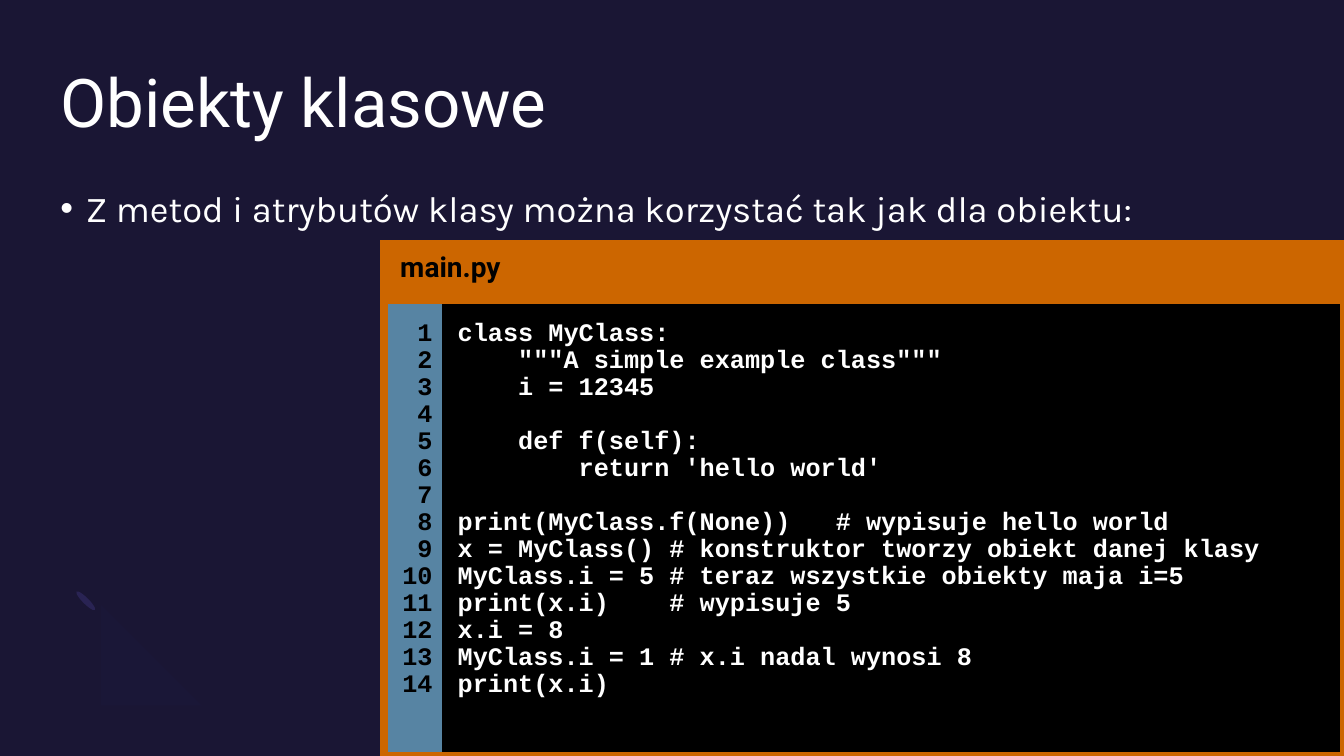
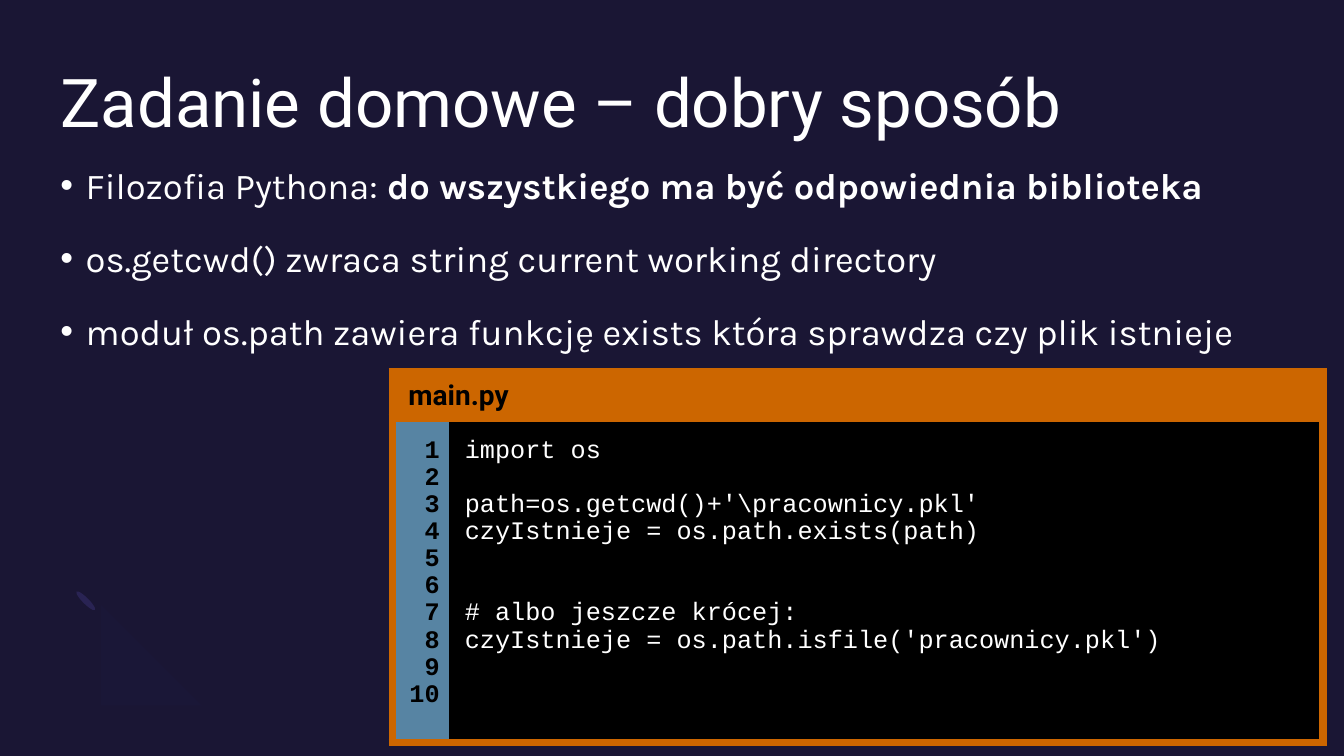
from lxml import etree
from pptx import Presentation
from pptx import util as u
from pptx.dml.color import RGBColor
from pptx.enum import shapes, text
from pptx.oxml import ns

COLOURS = {
    "background": "1A1634",
    "petal": "292353",
    "arc": "1A1737",
    "white": "FFFFFF",
    "black": "000000",
    "frame": "CC6600",
    "gutter": "5784A3",
}

STYLES = {
    "title": {"name": "Roboto", "size": u.Pt(48), "bold": False},
    "body": {"name": "Karla", "size": u.Pt(26), "bold": False},
    "strong": {"name": "Karla", "size": u.Pt(26), "bold": True},
    "file": {"name": "Roboto", "size": u.Pt(20), "bold": True},
    "code": {"name": "Courier New", "size": u.Pt(18), "bold": False},
    "bold code": {"name": "Courier New", "size": u.Pt(18), "bold": True},
}

BULLET_FORMAT = {
    "line_spacing": 1.1,
    "space_before": u.Pt(10),
    "space_after": u.Pt(8),
}
FILE_FORMAT = {"line_spacing": 1.07, "space_before": u.Pt(3.6)}
CODE_FORMAT = {"line_spacing": 0.77, "space_before": u.Pt(3.6)}
NUMBER_FORMAT = {**CODE_FORMAT, "alignment": text.PP_ALIGN.RIGHT}

PETAL_SIZE = (0.06, 0.26)
PETAL_CENTRES = [(1.38, 6.5), (0.85, 5.96)]

# Bézier curves of four points; straight edges join one to the next
ARC_CURVES = [
    [(0.76, 6.59), (0.56, 6.39), (0.58, 6.05), (0.81, 5.82)],
    [(0.99, 6), (0.87, 6.11), (0.86, 6.29), (0.96, 6.38)],
    [(0.96, 6.38), (1.06, 6.48), (1.23, 6.47), (1.35, 6.36)],
    [(1.52, 6.54), (1.3, 6.76), (0.95, 6.79), (0.76, 6.59)],
]

CLASS_CODE = '''class MyClass:
    """A simple example class"""
    i = 12345

    def f(self):
        return 'hello world'

print(MyClass.f(None))   # wypisuje hello world
x = MyClass() # konstruktor tworzy obiekt danej klasy
MyClass.i = 5 # teraz wszystkie obiekty maja i=5
print(x.i)    # wypisuje 5
x.i = 8
MyClass.i = 1 # x.i nadal wynosi 8
print(x.i)'''

FILE_CODE = r"""import os

path=os.getcwd()+'\pracownicy.pkl'
czyIstnieje = os.path.exists(path)


# albo jeszcze krócej:
czyIstnieje = os.path.isfile('pracownicy.pkl')"""


def colour(name):
    return RGBColor.from_string(COLOURS[name])


def apply(target, values):
    for name, value in values.items():
        setattr(target, name, value)


def add_span(para, words, style, ink="white"):
    span = para.add_run()
    span.text = words
    apply(span.font, STYLES[style])
    span.font.color.rgb = colour(ink)


def set_indent(para, left, first=0):
    properties = para._p.get_or_add_pPr()
    properties.set("marL", str(u.Inches(left)))
    properties.set("indent", str(u.Inches(first)))
    return properties


def size_empty_line(para, style):
    """Give a line without text the height of its neighbours."""
    values = STYLES[style]
    end = etree.SubElement(para._p, ns.qn("a:endParaRPr"),
                           sz=str(int(values["size"].pt * 100)))
    etree.SubElement(end, ns.qn("a:latin"), typeface=values["name"])


def nth_paragraph(frame, index):
    return frame.paragraphs[0] if index == 0 else frame.add_paragraph()


def add_text_box(page, left, top, width, height):
    box = page.shapes.add_textbox(*map(u.Inches, (left, top, width, height)))
    frame = box.text_frame
    apply(frame, {
        "word_wrap": True,
        "vertical_anchor": text.MSO_ANCHOR.TOP,
        "margin_left": 0, "margin_right": 0,
        "margin_top": 0, "margin_bottom": 0,
    })
    return frame


def paint(shape, fill):
    shape.shadow.inherit = False
    shape.fill.solid()
    shape.fill.fore_color.rgb = colour(fill)
    shape.line.fill.background()


def add_petal(page, x, y):
    width, height = PETAL_SIZE
    petal = page.shapes.add_shape(
        shapes.MSO_SHAPE.OVAL,
        *map(u.Inches, (x - width / 2, y - height / 2, width, height)))
    petal.rotation = 135
    paint(petal, "petal")


def curve_points(curve, steps=12):
    for step in range(steps + 1):
        t = step / steps
        weights = ((1 - t) ** 3, 3 * t * (1 - t) ** 2,
                   3 * t ** 2 * (1 - t), t ** 3)
        yield tuple(sum(weight * point[axis]
                        for weight, point in zip(weights, curve))
                    for axis in (0, 1))


def add_arc(page):
    points = [point for curve in ARC_CURVES for point in curve_points(curve)]
    builder = page.shapes.build_freeform(*points[0], scale=u.Inches(1))
    builder.add_line_segments(points[1:], close=True)
    paint(builder.convert_to_shape(), "arc")


def add_page(deck, title):
    page = deck.slides.add_slide(deck.slide_layouts[6])
    for centre in PETAL_CENTRES:
        add_petal(page, *centre)
    add_arc(page)
    frame = add_text_box(page, 0.6, 0.6, 12.13, 1.46)
    add_span(frame.paragraphs[0], title, "title")
    return page


def add_bullets(page, top, items):
    """Each item is a list of (words, style) spans."""
    frame = add_text_box(page, 0.6, top, 12.28, 4.35)
    for index, spans in enumerate(items):
        para = nth_paragraph(frame, index)
        apply(para, BULLET_FORMAT)
        properties = set_indent(para, 0.25, -0.25)
        etree.SubElement(properties, ns.qn("a:buFont"), typeface="Arial")
        etree.SubElement(properties, ns.qn("a:buChar"), char="•")
        for words, style in spans:
            add_span(para, words, style)


def set_borders(cell, sides):
    """Frame the named sides (L, R, T, B) and clear the others."""
    properties = cell._tc.get_or_add_tcPr()
    for index, side in enumerate("LRTB"):
        line = etree.Element(ns.qn(f"a:ln{side}"), w=str(u.Pt(6)))
        if side in sides:
            fill = etree.SubElement(line, ns.qn("a:solidFill"))
            etree.SubElement(fill, ns.qn("a:srgbClr"), val=COLOURS["frame"])
        else:
            etree.SubElement(line, ns.qn("a:noFill"))
        properties.insert(index, line)


def fill_cell(cell, lines, style, ink, fill, sides, margins, layout):
    cell.fill.solid()
    cell.fill.fore_color.rgb = colour(fill)
    set_borders(cell, sides)
    right, vertical = margins
    apply(cell, {
        "margin_left": u.Inches(0.05),
        "margin_right": u.Inches(right),
        "margin_top": u.Inches(vertical),
        "margin_bottom": u.Inches(vertical),
        "vertical_anchor": text.MSO_ANCHOR.TOP,
    })
    for index, line in enumerate(lines):
        para = nth_paragraph(cell.text_frame, index)
        apply(para, layout)
        set_indent(para, 0.11)
        if line:
            add_span(para, line, style, ink)
        else:
            size_empty_line(para, style)


def add_listing(page, left, top, columns, rows, code, style, line_count):
    """Draw a source file as a header, a line-number gutter and the code."""
    holder = page.shapes.add_table(
        2, 2, *map(u.Inches, (left, top, sum(columns), sum(rows))))
    table = holder.table
    apply(table, {"first_row": False, "horz_banding": False})
    for column, width in zip(table.columns, columns):
        column.width = u.Inches(width)
    for row, height in zip(table.rows, rows):
        row.height = u.Inches(height)

    header, header_end = table.cell(0, 0), table.cell(0, 1)
    header.merge(header_end)
    set_borders(header_end, "RTB")
    fill_cell(header, ["main.py"], "file", "black", "frame", "LRTB",
              (0.05, 0.05), FILE_FORMAT)
    numbers = [str(number) for number in range(1, line_count + 1)]
    fill_cell(table.cell(1, 0), numbers, "bold code", "black", "gutter",
              "LTB", (0.09, 0.23), NUMBER_FORMAT)
    fill_cell(table.cell(1, 1), code.splitlines(), style, "white", "black",
              "RTB", (0.18, 0.23), CODE_FORMAT)


def main():
    deck = Presentation()
    apply(deck, {"slide_width": u.Inches(13.33),
                 "slide_height": u.Inches(7.5)})
    backdrop = deck.slide_master.background.fill
    backdrop.solid()
    backdrop.fore_color.rgb = colour("background")

    page = add_page(deck, "Obiekty klasowe")
    add_bullets(page, 1.8, [
        [("Z metod i atrybutów klasy można korzystać tak jak dla obiektu:",
          "body")],
    ])
    add_listing(page, 3.81, 2.42, (0.57, 8.95), (0.56, 4.52),
                CLASS_CODE, "bold code", 14)

    page = add_page(deck, "Zadanie domowe – dobry sposób")
    add_bullets(page, 1.57, [
        [("Filozofia Pythona: ", "body"),
         ("do wszystkiego ma być odpowiednia biblioteka", "strong")],
        [("os.getcwd() zwraca string current working directory", "body")],
        [("moduł os.path zawiera funkcję exists która sprawdza "
          "czy plik istnieje", "body")],
    ])
    add_listing(page, 3.89, 3.69, (0.56, 8.67), (0.42, 3.1),
                FILE_CODE, "code", 10)

    deck.save("out.pptx")


if __name__ == "__main__":
    main()
